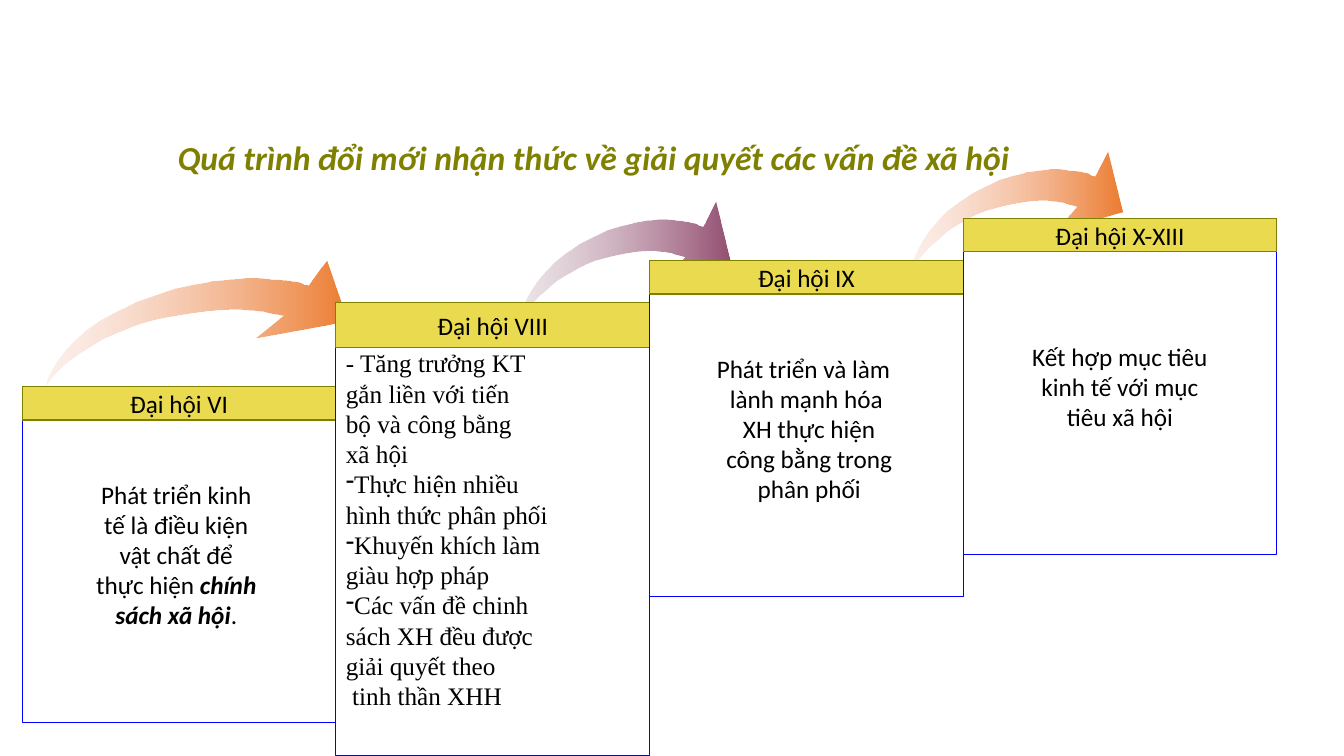
from lxml.etree import SubElement
from pptx import Presentation
from pptx.dml.color import RGBColor
from pptx.enum.shapes import MSO_SHAPE
from pptx.enum.text import MSO_ANCHOR, MSO_AUTO_SIZE, PP_ALIGN
from pptx.oxml.ns import qn
from pptx.util import Pt

BLACK = RGBColor(0x00, 0x00, 0x00)
BLUE = RGBColor(0x00, 0x00, 0xFF)
OLIVE = RGBColor(0x80, 0x80, 0x00)
YELLOW = RGBColor(0xE9, 0xDA, 0x4F)
ORANGE = RGBColor(0xED, 0x7D, 0x31)
PEACH = RGBColor(0xF7, 0xD2, 0xC7)
PLUM = RGBColor(0x95, 0x4F, 0x72)
MAUVE = RGBColor(0xCB, 0xB6, 0xBF)

TITLE = "Quá trình đổi mới nhận thức về giải quyết các vấn đề xã hội"
TITLE_FONT = {"name": "Calibri", "size": Pt(24), "bold": True, "italic": True}
CARD_FONT = {"name": "Calibri", "size": Pt(18)}
LIST_FONT = {"name": "Times New Roman", "size": Pt(18)}
EMPHASIS = {"bold": True, "italic": True}
BULLET = "•"  # marks the lines that get a dash bullet

CARD_LEFT, CARD_WIDTH = 16, 224

# Heading, top, height, heading height, font, alignment, lines
# A line is a text, or a list of (text, run format) pairs
CARDS = [
    ("Đại hội VI", 276, 240, 24, CARD_FONT, PP_ALIGN.CENTER,
     ["Phát triển kinh ", "tế là điều kiện ", "vật chất để ",
      [("thực hiện ", {}), ("chính ", EMPHASIS)],
      [("sách xã hội", EMPHASIS), (". ", {})]]),
    ("Đại hội VIII", 216, 324, 32.4, LIST_FONT, PP_ALIGN.JUSTIFY,
     ["- Tăng trưởng KT", "gắn liền với tiến", "bộ và công bằng", "xã hội",
      BULLET + "Thực hiện nhiều", "hình thức phân phối",
      BULLET + "Khuyến khích làm", "giàu hợp pháp",
      BULLET + "Các vấn đề chinh", "sách XH đều được ",
      "giải quyết theo", " tinh thần XHH"]),
    ("Đại hội IX", 186, 240, 24, CARD_FONT, PP_ALIGN.CENTER,
     ["Phát triển và làm ", "lành mạnh hóa", " XH thực hiện",
      " công bằng trong", " phân phối"]),
    ("Đại hội X-XIII", 156, 240, 24, CARD_FONT, PP_ALIGN.CENTER,
     ["Kết hợp mục tiêu", "kinh tế với mục", "tiêu xã hội"]),
]

# Left, top, width, height, start colour, end colour
ARROWS = [
    (368, 144, 154, 91.2, MAUVE, PLUM),
    (32, 186, 216, 91, PEACH, ORANGE),
    (648, 108, 154, 91, PEACH, ORANGE),
]

# Outline of a curved arrow on a grid of 300 by 127
GRID_WIDTH, GRID_HEIGHT = 300, 127
ARROW_OUTLINE = [
    # lower edge, from the tail
    (0, 127), (1, 126), (3, 123), (5, 120), (10, 114), (16, 108), (24, 101),
    (33, 94), (44, 87), (57, 79), (73, 72), (90, 65), (110, 59), (131, 55),
    (150, 52), (167, 50), (182, 49), (195, 49), (208, 50), (217, 51),
    (225, 53), (231, 54), (236, 55),
    # head
    (208, 78), (300, 61), (279, 0), (261, 25),
    # upper edge, back to the tail
    (256, 24), (252, 22), (244, 21), (235, 20), (224, 19), (212, 18),
    (198, 18), (183, 19), (165, 21), (148, 24), (129, 28), (109, 35),
    (89, 42), (71, 51), (55, 60), (42, 69), (31, 79), (22, 88), (15, 97),
    (10, 105), (6, 112), (3, 118), (2, 123), (0, 126),
]


def set_format(target, values):
    for name, value in values.items():
        setattr(target, name, value)


def add_run(paragraph, text, font, color):
    run = paragraph.add_run()
    run.text = text
    set_format(run.font, font)
    run.font.color.rgb = color


def add_dash_bullet(paragraph):
    properties = paragraph._p.get_or_add_pPr()
    properties.set("marL", "0")
    properties.set("indent", "0")
    SubElement(properties, qn("a:buFontTx"))
    SubElement(properties, qn("a:buChar"), char="-")


def format_title(title):
    set_format(title, {"left": Pt(16), "top": Pt(85.7),
                       "width": Pt(816), "height": Pt(45.4)})
    frame = title.text_frame
    set_format(frame, {"word_wrap": True, "vertical_anchor": MSO_ANCHOR.TOP,
                       "auto_size": MSO_AUTO_SIZE.SHAPE_TO_FIT_TEXT})
    paragraph = frame.paragraphs[0]
    set_format(paragraph, {"alignment": PP_ALIGN.CENTER, "line_spacing": 1.3,
                           "space_before": Pt(0)})
    add_run(paragraph, TITLE, TITLE_FONT, OLIVE)


def add_arrow(slide, left, top, width, height, start_color, end_color):
    scale = (Pt(width) / GRID_WIDTH, Pt(height) / GRID_HEIGHT)
    builder = slide.shapes.build_freeform(*ARROW_OUTLINE[0], scale=scale)
    builder.add_line_segments(ARROW_OUTLINE[1:], close=True)
    arrow = builder.convert_to_shape(Pt(left), Pt(top))
    arrow.shadow.inherit = False
    arrow.line.fill.background()
    arrow.fill.gradient()
    arrow.fill.gradient_angle = 0
    stops = arrow.fill.gradient_stops
    for stop, position, color in zip(stops, (0, 1), (start_color, end_color)):
        stop.position = position
        stop.color.rgb = color
    # The tail fades out
    tail_color = arrow._element.spPr.find(".//" + qn("a:srgbClr"))
    SubElement(tail_color, qn("a:alpha"), val="32000")


def add_box(slide, left, top, height, line_color, fill_color=None):
    box = slide.shapes.add_shape(MSO_SHAPE.RECTANGLE, Pt(left), Pt(top),
                                 Pt(CARD_WIDTH), Pt(height))
    box.shadow.inherit = False
    if fill_color is None:
        box.fill.background()
    else:
        box.fill.solid()
        box.fill.fore_color.rgb = fill_color
    box.line.color.rgb = line_color
    box.line.width = Pt(0.75)
    set_format(box.text_frame, {"word_wrap": False,
                                "vertical_anchor": MSO_ANCHOR.MIDDLE})
    return box.text_frame


def write_lines(frame, lines, font, alignment):
    for index, line in enumerate(lines):
        paragraph = frame.add_paragraph() if index else frame.paragraphs[0]
        paragraph.alignment = alignment
        runs = [(line, {})] if isinstance(line, str) else line
        if runs[0][0].startswith(BULLET):
            add_dash_bullet(paragraph)
        for text, extra in runs:
            add_run(paragraph, text.removeprefix(BULLET), font | extra, BLACK)


def add_card(slide, left, heading, top, height, heading_height, font,
             alignment, lines):
    body = add_box(slide, left, top, height, BLUE)
    write_lines(body, lines, font, alignment)
    header = add_box(slide, left, top, heading_height, OLIVE, YELLOW)
    write_lines(header, [heading], CARD_FONT, PP_ALIGN.CENTER)


def main():
    presentation = Presentation()
    presentation.slide_width, presentation.slide_height = Pt(960), Pt(540)
    slide = presentation.slides.add_slide(presentation.slide_layouts[5])

    format_title(slide.shapes.title)

    # Arrows lie behind the cards
    for arrow in ARROWS:
        add_arrow(slide, *arrow)

    # Rising steps, one per congress
    for index, card in enumerate(CARDS):
        add_card(slide, CARD_LEFT + index * CARD_WIDTH, *card)

    presentation.save("out.pptx")


if __name__ == "__main__":
    main()
